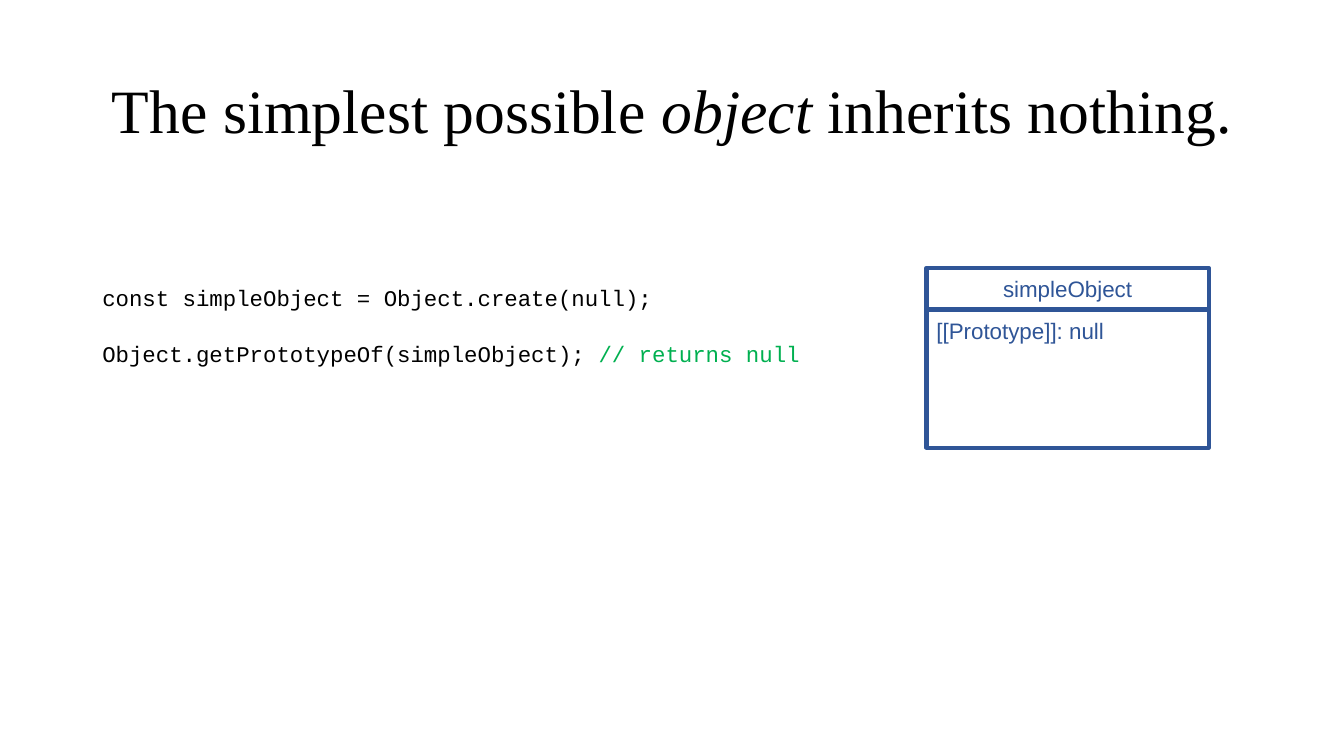
from pptx import Presentation
from pptx.dml.color import RGBColor
from pptx.enum.shapes import MSO_SHAPE
from pptx.enum.text import MSO_ANCHOR, PP_ALIGN
from pptx.util import Inches, Pt

COLS, ROWS = 160, 90
BLACK, BLUE, GREEN = "000000", "2F5597", "00B050"


def paint(color):
    return RGBColor.from_string(color)


class Board:
    """Draws styled elements on one slide, placed by a 160 by 90 grid."""

    def __init__(self, deck):
        self.slide = deck.slides.add_slide(deck.slide_layouts[6])
        self.cell_w = deck.slide_width / COLS
        self.cell_h = deck.slide_height / ROWS

    def place(self, col, row, wide, high):
        return (round(col * self.cell_w), round(row * self.cell_h),
                round(wide * self.cell_w), round(high * self.cell_h))

    def style(self, para, face, size, color=BLACK, align=PP_ALIGN.LEFT):
        para.font.name = face
        para.font.size = Pt(size)
        para.font.color.rgb = paint(color)
        para.alignment = align

    def frame(self, area, anchor=MSO_ANCHOR.TOP):
        frame = self.slide.shapes.add_textbox(*self.place(*area)).text_frame
        frame.word_wrap = True
        frame.vertical_anchor = anchor
        return frame

    def title(self, area, before, stress, after):
        para = self.frame(area, MSO_ANCHOR.MIDDLE).paragraphs[0]
        self.style(para, "Times New Roman", 44, align=PP_ALIGN.CENTER)
        para.line_spacing = 0.9
        for text in (before, stress, after):
            run = para.add_run()
            run.text = text
            run.font.italic = text == stress

    def code(self, area, lines):
        frame = self.frame(area)
        frame.margin_top = Inches(0.89)
        for index, (text, note) in enumerate(lines):
            para = frame.add_paragraph() if index else frame.paragraphs[0]
            self.style(para, "Courier New", 16)
            if index:
                para.space_before = Pt(20.4)
            para.add_run().text = text
            if note:
                run = para.add_run()
                run.text = note
                run.font.color.rgb = paint(GREEN)

    def box(self, area, text, anchor, align, inset, pitch=None):
        box = self.slide.shapes.add_shape(MSO_SHAPE.RECTANGLE, *self.place(*area))
        box.shadow.inherit = False
        box.fill.background()
        box.line.color.rgb = paint(BLUE)
        box.line.width = Pt(3)
        frame = box.text_frame
        frame.word_wrap = True
        frame.vertical_anchor = anchor
        frame.margin_left = frame.margin_right = Inches(0.1)
        frame.margin_top = frame.margin_bottom = Inches(inset)
        para = frame.paragraphs[0]
        para.text = text
        self.style(para, "Arial", 16, BLUE, align)
        para.line_spacing = pitch

    def card(self, col, row, wide, head, body, name, field):
        self.box((col, row, wide, head), name,
                 MSO_ANCHOR.MIDDLE, PP_ALIGN.CENTER, 0.07)
        self.box((col, row + head, wide, body), field,
                 MSO_ANCHOR.TOP, PP_ALIGN.LEFT, 0.1, Pt(17.4))


def main():
    deck = Presentation()
    deck.slide_width, deck.slide_height = Inches(13.33), Inches(7.5)
    board = Board(deck)
    board.title((11, 4.8, 138, 17.4),
                "The simplest possible ", "object", " inherits nothing.")
    board.code((11, 23.2, 89.4, 28.1), [
        ("const simpleObject = Object.create(null);", ""),
        ("Object.getPrototypeOf(simpleObject); ", "// returns null"),
    ])
    board.card(110.3, 31.9, 33.6, 4.95, 16.45,
               "simpleObject", "[[Prototype]]: null")
    deck.save("out.pptx")


if __name__ == "__main__":
    main()
